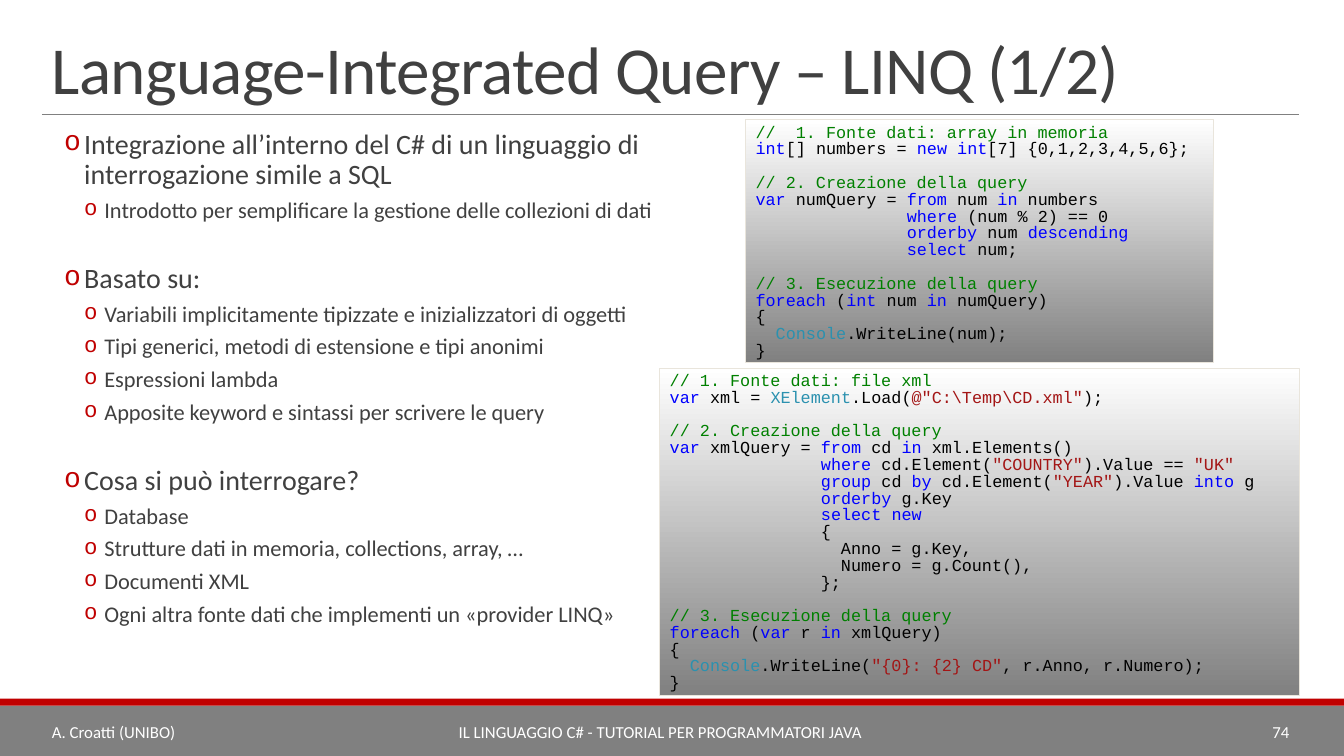
from itertools import groupby

from lxml import etree
from pptx import Presentation
from pptx import util as u
from pptx.dml import color
from pptx.enum import shapes, text
from pptx.oxml import ns

COLORS = {
    "ink": "404040", "grey": "808080", "red": "C00000", "white": "FFFFFF",
    "frame": "E9E5DC", "plain": "000000", "comment": "008000",
    "keyword": "0000FF", "type": "2B91AF", "string": "A31515",
}
KEYWORDS = set("int new var from in where orderby descending select foreach group by into".split())
TYPES = {"Console", "XElement"}

TOPICS = [
    ("Integrazione all’interno del C# di un linguaggio di interrogazione simile a SQL",
     ["Introdotto per semplificare la gestione delle collezioni di dati"]),
    ("Basato su:",
     ["Variabili implicitamente tipizzate e inizializzatori di oggetti",
      "Tipi generici, metodi di estensione e tipi anonimi",
      "Espressioni lambda",
      "Apposite keyword e sintassi per scrivere le query"]),
    ("Cosa si può interrogare?",
     ["Database",
      "Strutture dati in memoria, collections, array, …",
      "Documenti XML",
      "Ogni altra fonte dati che implementi un «provider LINQ»"]),
]

ARRAY_QUERY = """//  1. Fonte dati: array in memoria
int[] numbers = new int[7] {0,1,2,3,4,5,6};

// 2. Creazione della query
var numQuery = from num in numbers
               where (num % 2) == 0
               orderby num descending
               select num;

// 3. Esecuzione della query
foreach (int num in numQuery)
{
  Console.WriteLine(num);
}"""

XML_QUERY = r"""// 1. Fonte dati: file xml
var xml = XElement.Load(@"C:\Temp\CD.xml");

// 2. Creazione della query
var xmlQuery = from cd in xml.Elements()
               where cd.Element("COUNTRY").Value == "UK"
               group cd by cd.Element("YEAR").Value into g
               orderby g.Key
               select new
               {
                 Anno = g.Key,
                 Numero = g.Count(),
               };

// 3. Esecuzione della query
foreach (var r in xmlQuery)
{
  Console.WriteLine("{0}: {2} CD", r.Anno, r.Numero);
}"""


def rgb(name):
    return color.RGBColor.from_string(COLORS[name])


def add_run(paragraph, words, size, hue, face="Calibri"):
    run = paragraph.add_run()
    run.text = words
    run.font.size = u.Pt(size)
    run.font.name = face
    run.font.color.rgb = rgb(hue)
    return run


def add_frame(slide, box, anchor=text.MSO_ANCHOR.TOP):
    frame = slide.shapes.add_textbox(*map(u.Pt, box)).text_frame
    frame.word_wrap = True
    frame.vertical_anchor = anchor
    return frame


def next_paragraph(frame, first):
    return frame.paragraphs[0] if first else frame.add_paragraph()


def add_bar(slide, box, hue):
    bar = slide.shapes.add_shape(shapes.MSO_SHAPE.RECTANGLE, *map(u.Pt, box))
    bar.shadow.inherit = False
    bar.fill.solid()
    bar.fill.fore_color.rgb = rgb(hue)
    bar.line.fill.background()


def add_title(slide, box, words):
    left, top, width, height = box
    paragraph = add_frame(slide, box, text.MSO_ANCHOR.BOTTOM).paragraphs[0]
    paragraph.line_spacing = 0.85
    add_run(paragraph, words, 48, "ink").font._element.set("spc", "-50")
    rule_y = u.Pt(top + height + 1.4)
    rule = slide.shapes.add_connector(
        shapes.MSO_CONNECTOR.STRAIGHT, u.Pt(left), rule_y, u.Pt(left + width), rule_y)
    rule.line.color.rgb = rgb("grey")
    rule.line.width = u.Pt(0.5)
    etree.SubElement(rule._element.spPr, ns.qn("a:effectLst"))


def add_bullet(paragraph, indent):
    props = paragraph._p.get_or_add_pPr()
    props.set("marL", str(u.Pt(indent)))
    props.set("indent", str(u.Pt(-14.4)))
    hue = etree.SubElement(props, ns.qn("a:buClr"))
    etree.SubElement(hue, ns.qn("a:srgbClr"), val=COLORS["red"])
    etree.SubElement(props, ns.qn("a:buFont"), typeface="Courier New")
    etree.SubElement(props, ns.qn("a:buChar"), char="o")


def add_topics(slide, box, topics):
    frame = add_frame(slide, box)
    frame.margin_left = frame.margin_right = 0
    for number, (heading, points) in enumerate(topics):
        for row, words in enumerate([heading] + points):
            first = number == row == 0
            paragraph = next_paragraph(frame, first)
            if not first:
                paragraph.space_before = u.Pt(2 if row else 25.6)
            paragraph.space_after = u.Pt(4)
            paragraph.line_spacing = 0.9
            add_bullet(paragraph, 44.6 if row else 30.2)
            add_run(paragraph, words, 16 if row else 20, "ink")


def tokens(line):
    if line.startswith("//"):
        yield "comment", line
        return
    for number, part in enumerate(line.replace('@"', '"@').split('"')):
        if number % 2:
            yield "string", '@"' + part[1:] + '"' if part.startswith("@") else f'"{part}"'
            continue
        for _, letters in groupby(part, str.isalnum):
            word = "".join(letters)
            yield ("keyword" if word in KEYWORDS else "type" if word in TYPES else "plain"), word


def add_code(slide, box, code):
    panel = slide.shapes.add_shape(shapes.MSO_SHAPE.RECTANGLE, *map(u.Pt, box))
    panel.shadow.inherit = False
    panel.fill.gradient()
    panel.fill.gradient_angle = 270
    for stop, position, hue in zip(panel.fill.gradient_stops, (0, 1), ("white", "grey")):
        stop.position = position
        stop.color.rgb = rgb(hue)
    panel.line.color.rgb = rgb("frame")
    panel.line.width = u.Pt(0.75)
    frame = panel.text_frame
    frame.word_wrap = True
    frame.vertical_anchor = text.MSO_ANCHOR.TOP
    frame.margin_bottom = 0
    for number, block in enumerate(code.split("\n\n")):
        for row, line in enumerate(block.split("\n")):
            paragraph = next_paragraph(frame, number == row == 0)
            paragraph.alignment = text.PP_ALIGN.LEFT
            paragraph.line_spacing = u.Pt(12)
            if number and not row:
                paragraph.space_before = u.Pt(12)
            for hue, group in groupby(tokens(line), lambda token: token[0]):
                add_run(paragraph, "".join(word for _, word in group), 12, hue, "Courier New")


def add_footer(slide, box, entries):
    left, top, width, height = box
    add_bar(slide, box, "grey")
    add_bar(slide, (left, top - 5, width, 5), "red")
    for words, start, span, align in entries:
        frame = add_frame(slide, (left + start, top + 4.5, span, 28.8), text.MSO_ANCHOR.MIDDLE)
        frame.paragraphs[0].alignment = align
        add_run(frame.paragraphs[0], words, 12, "white")


def main():
    deck = Presentation()
    deck.slide_width, deck.slide_height = u.Pt(960), u.Pt(540)
    slide = deck.slides.add_slide(deck.slide_layouts[6])
    align = text.PP_ALIGN
    add_footer(slide, (0, 504, 960, 36), [
        ("A. Croatti (UNIBO)", 30, 133.5, align.LEFT),
        ("IL LINGUAGGIO C# - TUTORIAL PER PROGRAMMATORI JAVA", 163.5, 616.5, align.CENTER),
        ("74", 780, 148, align.RIGHT),
    ])
    add_title(slide, (30, 22.2, 898, 58.4), "Language-Integrated Query – LINQ (1/2)")
    add_topics(slide, (30, 89.3, 484.6, 371.5), TOPICS)
    add_code(slide, (532.6, 85.6, 334, 173.3), ARRAY_QUERY)
    add_code(slide, (471.3, 263, 456.7, 233.6), XML_QUERY)
    deck.save("out.pptx")


if __name__ == "__main__":
    main()
